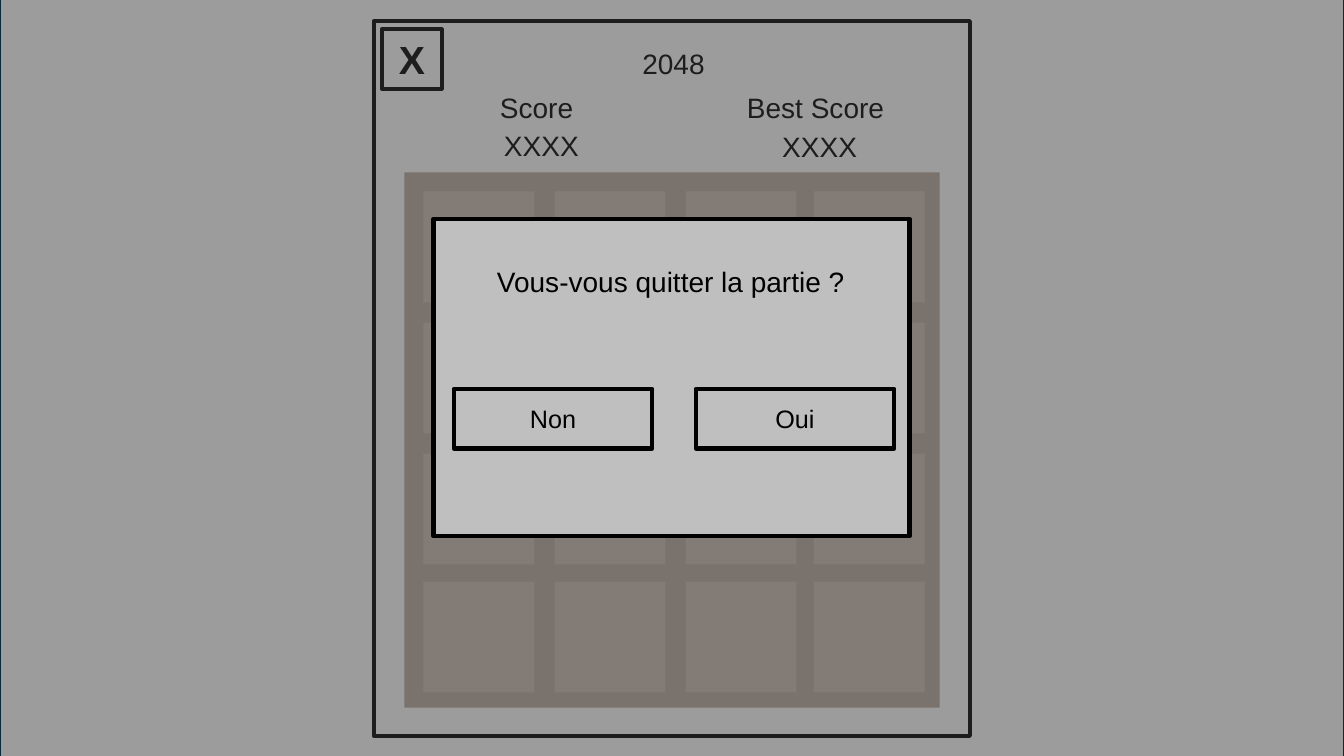
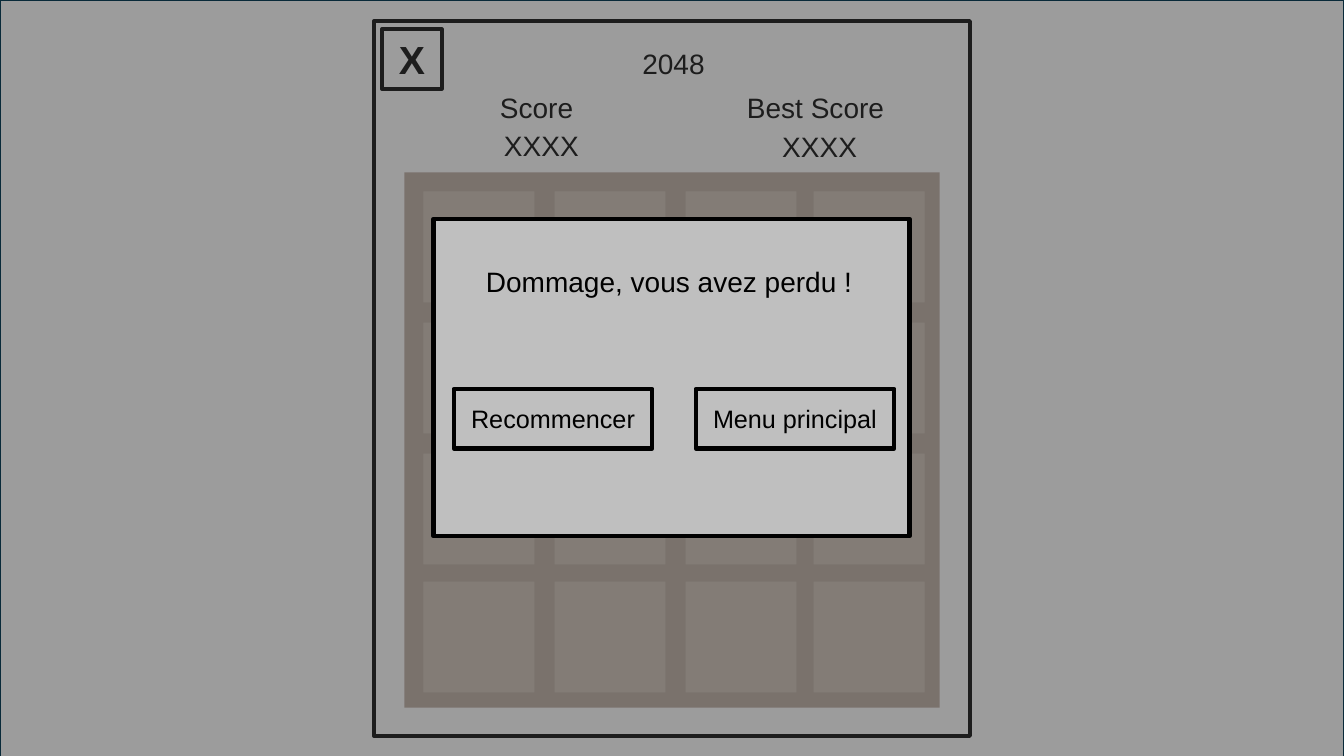
from itertools import product

from lxml.etree import SubElement
from pptx import Presentation
from pptx.dml.color import RGBColor
from pptx.enum.shapes import MSO_SHAPE as Kind
from pptx.enum.text import MSO_ANCHOR as Anchor, MSO_AUTO_SIZE as Fit, PP_ALIGN as Align
from pptx.oxml.ns import qn
from pptx.util import Inches, Pt

WIDE, HIGH = 13.33, 7.5
FONT = "Arial"
BLACK, BOARD, TILE = "000000", "BCACA0", "CDC0B4"
PANEL, VEIL, EDGE = "BFBFBF", "3A3A3A", "092A39"
LEFT, TOP, SIDE = 4.2, 1.9, 1.1
STEPS = (0, 1.3, 2.6, 3.87)
HIDDEN = {(1, 1), (1, 2)}
LABELS = (
    ("Score", 4.86, 0.85, 0.93),
    ("Best Score", 7.31, 0.85, 1.57),
    ("XXXX", 4.9, 1.23, 0.95),
    ("XXXX", 7.66, 1.24, 0.95),
)


def color(code):
    return RGBColor.from_string(code)


def write(shape, text, size=20, bold=False, align=Align.LEFT, anchor=Anchor.TOP, wrap=False):
    frame = shape.text_frame
    frame.auto_size = Fit.NONE
    frame.word_wrap = wrap
    frame.vertical_anchor = anchor
    para = frame.paragraphs[0]
    para.alignment = align
    run = para.add_run()
    run.text = text
    font = run.font
    font.name, font.size, font.bold = FONT, Pt(size), bold
    font.color.rgb = color(BLACK)


def draw(shapes, x, y, w, h, kind=Kind.RECTANGLE, fill=None, line=None, weight=3):
    shape = shapes.add_shape(kind, Inches(x), Inches(y), Inches(w), Inches(h))
    shape.shadow.inherit = False
    if fill:
        shape.fill.solid()
        shape.fill.fore_color.rgb = color(fill)
    else:
        shape.fill.background()
    if line:
        shape.line.color.rgb = color(line)
        shape.line.width = Pt(weight)
    else:
        shape.line.fill.background()
    return shape


def label(slide, text, x, y, w):
    box = slide.shapes.add_textbox(Inches(x), Inches(y), Inches(w), Inches(0.44))
    write(box, text)


def button(slide, text, x, y, w, size=18, bold=False):
    shape = draw(slide.shapes, x, y, w, 0.59, kind=Kind.ACTION_BUTTON_CUSTOM, line=BLACK)
    write(shape, text, size=size, bold=bold, align=Align.CENTER, anchor=Anchor.MIDDLE, wrap=True)


def title(slide, text):
    head = slide.shapes.title
    head.left, head.top = Inches(6.27), Inches(0.41)
    head.width, head.height = Inches(0.83), Inches(0.44)
    write(head, text)


def board(slide):
    group = slide.shapes.add_group_shape().shapes
    draw(group, 4.01, 1.71, 5.31, 5.31, fill=BOARD)
    for row, col in product(range(len(STEPS)), repeat=2):
        if (row, col) not in HIDDEN:
            draw(group, LEFT + STEPS[col], TOP + STEPS[row], SIDE, SIDE, fill=TILE)


def veil(slide, top):
    shape = draw(slide.shapes, 0, top, WIDE, 7.52, fill=VEIL, line=EDGE, weight=1.5)
    tint = shape._element.spPr.find(qn("a:solidFill")).find(qn("a:srgbClr"))
    SubElement(tint, qn("a:alpha")).set("val", "50000")


def game(slide):
    title(slide, "2048")
    draw(slide.shapes, 3.71, 0.21, 5.91, 7.09, line=BLACK)
    board(slide)
    for item in LABELS:
        label(slide, *item)
    button(slide, "X", 3.79, 0.29, 0.59, size=28, bold=True)


def dialog(slide, text, x, w, names):
    draw(slide.shapes, 4.3, 2.17, 4.72, 3.15, fill=PANEL, line=BLACK)
    label(slide, text, x, 2.57, w)
    for spot, name in enumerate(names):
        button(slide, name, 4.5 + 2.4 * spot, 3.86, 1.97)


def main():
    deck = Presentation()
    deck.slide_width, deck.slide_height = Inches(WIDE), Inches(HIGH)
    screens = (
        (-0.01, "Vous-vous quitter la partie ?", 4.83, 3.68, ("Non", "Oui")),
        (0, "Dommage, vous avez perdu !", 4.72, 3.89, ("Recommencer", "Menu principal")),
    )
    for top, text, x, w, names in screens:
        slide = deck.slides.add_slide(deck.slide_layouts[5])
        game(slide)
        veil(slide, top)
        dialog(slide, text, x, w, names)
    deck.save("out.pptx")


if __name__ == "__main__":
    main()
